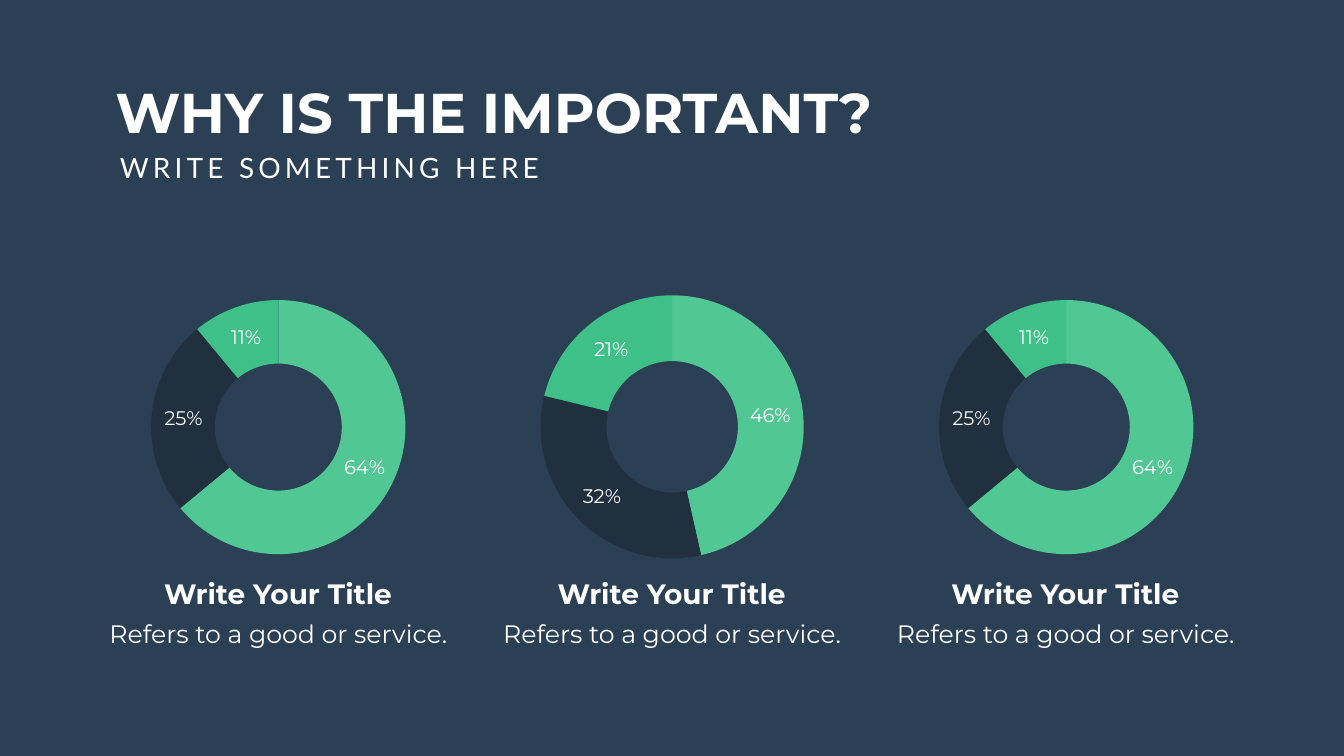
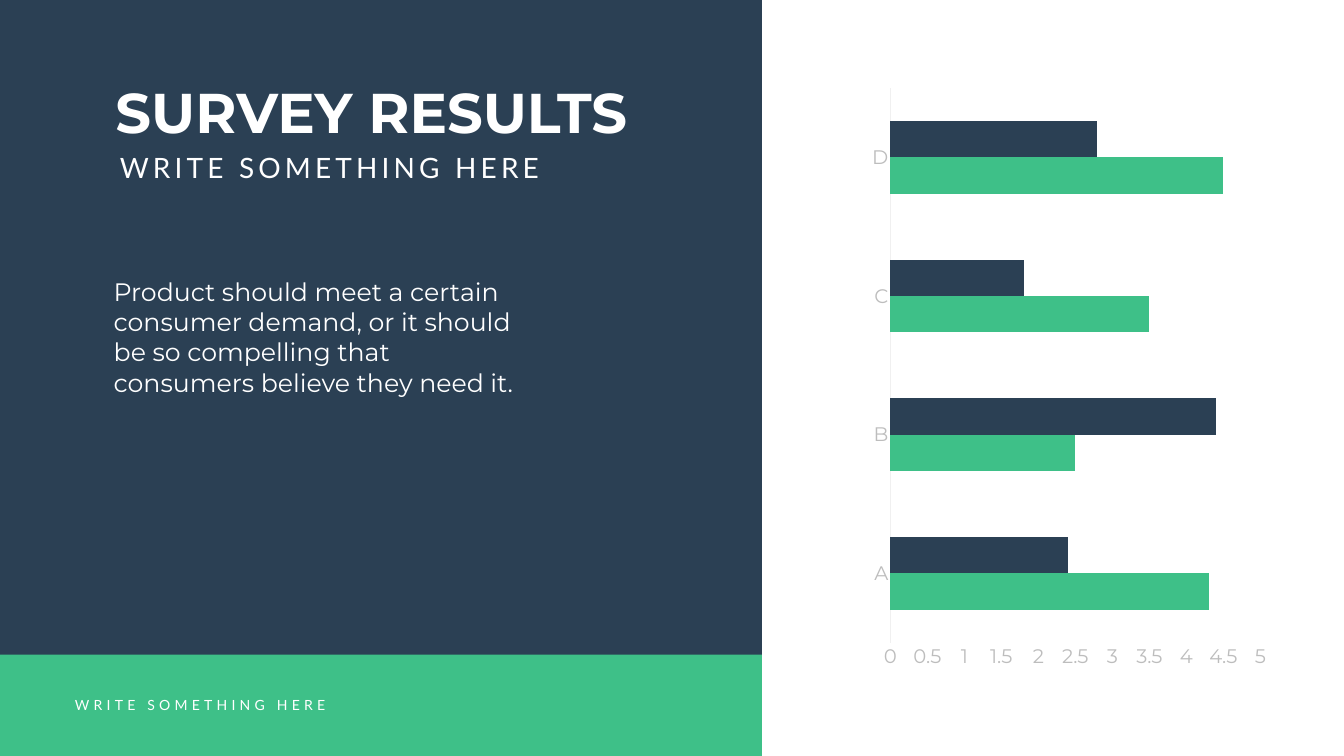
from pptx import Presentation
from pptx.chart.data import CategoryChartData
from pptx.dml.color import RGBColor
from pptx.enum.chart import XL_CHART_TYPE as ChartType, XL_TICK_MARK as TickMark
from pptx.enum.shapes import MSO_SHAPE as Shape
from pptx.enum.text import MSO_ANCHOR as Anchor, MSO_AUTO_SIZE as AutoSize, PP_ALIGN as Align
from pptx.oxml import parse_xml
from pptx.oxml.ns import nsdecls
from pptx.util import Pt

COLORS = {"navy": "2B4054", "dark": "20303F", "green": "3EC088", "light": "51C794",
          "white": "FFFFFF", "label": "BDBDBD", "muted": "999999", "axis": "F0F0F0"}
RGB = {name: RGBColor.from_string(code) for name, code in COLORS.items()}

FORMATS = {
    "title": {"name": "Montserrat", "size": Pt(80), "bold": True},
    "subtitle": {"name": "Lato", "size": Pt(40)},
    "footer": {"name": "Lato", "size": Pt(20)},
    "caption": {"name": "Montserrat", "size": Pt(40), "bold": True},
    "body": {"name": "Montserrat", "size": Pt(36)},
    "chart": {"name": "Montserrat", "size": Pt(28)},
}
SPACED = ("subtitle", "footer")
SLIDE_W, SLIDE_H = 1919.52, 1080
PANEL_W = 1088
BAND_TOP = 935
TAGLINE = "WRITE SOMETHING HERE"


def format_font(font, style, color):
    for attribute, value in FORMATS[style].items():
        setattr(font, attribute, value)
    font.color.rgb = RGB[color]


def write(box, place, words, style, align=Align.LEFT):
    box.left, box.top, box.width, box.height = (Pt(length) for length in place)
    frame = box.text_frame
    frame.word_wrap = True
    frame.auto_size = AutoSize.SHAPE_TO_FIT_TEXT
    frame.vertical_anchor = Anchor.TOP
    if style == "body":
        frame.margin_left = frame.margin_right = Pt(17)
        frame.margin_top = frame.margin_bottom = Pt(8.64)
    paragraph = frame.paragraphs[0]
    paragraph.alignment = align
    run = paragraph.add_run()
    run.text = words
    format_font(run.font, style, "white")
    if style in SPACED:
        run.font._element.set("spc", "600")


prs = Presentation()
prs.slide_width, prs.slide_height = Pt(SLIDE_W), Pt(SLIDE_H)

# Shared heading on a navy panel, with an optional green band
slides = []
for heading, heading_w, panel_w, has_band in [
    ("WHY IS THE IMPORTANT?", 1237, SLIDE_W, False),
    ("SURVEY RESULTS", 778, PANEL_W, True),
]:
    slide = prs.slides.add_slide(prs.slide_layouts[5])
    slides.append(slide)
    blocks = [(0, SLIDE_H, "navy")]
    if has_band:
        blocks.append((BAND_TOP, SLIDE_H - BAND_TOP, "green"))
    for top, height, color in blocks:
        block = slide.shapes.add_shape(Shape.RECTANGLE, 0, Pt(top), Pt(panel_w), Pt(height))
        block.shadow.inherit = False
        block.fill.solid()
        block.fill.fore_color.rgb = RGB[color]
        block.line.fill.background()
        slide.shapes.title._element.addprevious(block._element)
    write(slide.shapes.title, (157.7, 106.6, heading_w, 104), heading, "title")
    write(slide.shapes.add_textbox(0, 0, 0, 0), (164, 211.7, 676, 55), TAGLINE, "subtitle")

importance, survey = slides
charts = []

# Doughnuts with their captions
SLICE_COLORS = ("light", "dark", "green")
COLUMN_STEP = 562.3
doughnuts = [(202.3, 390, 363, (64, 25, 11)),
             (751, 418, 376, (46, 32, 21)),
             (1327.7, 390, 363, (64, 25, 11))]
for column, (left, width, diameter, shares) in enumerate(doughnuts):
    share_data = CategoryChartData()
    share_data.categories = ["1", "2", "3"]
    share_data.add_series("Series 1", shares)
    height = 396
    doughnut = importance.shapes.add_chart(
        ChartType.DOUGHNUT, Pt(left), Pt(412), Pt(width), Pt(height), share_data).chart
    ring_w, ring_h = diameter / width, diameter / height
    charts.append((doughnut, ((1 - ring_w) / 2, (1 - ring_h) / 2, ring_w, ring_h)))
    ring = doughnut.plots[0]
    for index, color in enumerate(SLICE_COLORS):
        slice_format = ring.series[0].points[index].format
        slice_format.fill.solid()
        slice_format.fill.fore_color.rgb = RGB[color]
        slice_format.line.fill.background()
    ring.has_data_labels = True
    percents = ring.data_labels
    percents.show_percentage, percents.show_value = True, False
    percents.number_format, percents.number_format_is_linked = "0%", False
    format_font(percents.font, "chart", "white")

    shift = column * COLUMN_STEP
    for place, words, style in [
        ((138.5 + shift, 875, 518, 61), "Refers to a good or service.", "body"),
        ((193 + shift, 819.4, 408, 55), "Write Your Title", "caption"),
    ]:
        write(importance.shapes.add_textbox(0, 0, 0, 0), place, words, style, Align.CENTER)

# Survey bars
answer_data = CategoryChartData()
answer_data.categories = ["A", "B", "C", "D"]
answer_data.add_series("Series 1", (4.3, 2.5, 3.5, 4.5))
answer_data.add_series("Series 2", (2.4, 4.4, 1.8, 2.8))
answers = survey.shapes.add_chart(
    ChartType.BAR_CLUSTERED, Pt(1233.4), Pt(106.6), Pt(586), Pt(866), answer_data).chart
charts.append((answers, (0.065, 0.022, 0.902, 0.915)))
bars = answers.plots[0]
bars.gap_width, bars.overlap, bars.vary_by_categories = 182, 0, False
for series, color in zip(bars.series, ("green", "navy")):
    series.format.fill.solid()
    series.format.fill.fore_color.rgb = RGB[color]
for axis in (answers.category_axis, answers.value_axis):
    axis.major_tick_mark = axis.minor_tick_mark = TickMark.NONE
    axis.has_major_gridlines = False
    format_font(axis.tick_labels.font, "chart", "label")
answers.category_axis.format.line.color.rgb = RGB["axis"]
answers.category_axis.format.line.width = Pt(0.75)
scale = answers.value_axis
scale.format.line.fill.background()
scale.minimum_scale, scale.maximum_scale, scale.major_unit = 0, 5, 0.5
scale.tick_labels.number_format = "General"
scale.tick_labels.number_format_is_linked = False

# Chart text and plot placement
for chart, place in charts:
    chart.has_legend = chart.has_title = False
    format_font(chart.font, "chart", "muted")
    plot_area = chart._chartSpace.chart.plotArea
    for old_layout in plot_area.findall("c:layout", plot_area.nsmap):
        plot_area.remove(old_layout)
    sizes = "".join(f'<c:{key} val="{value:.3f}"/>' for key, value in zip("xywh", place))
    plot_area.insert(0, parse_xml(
        f'<c:layout {nsdecls("c")}><c:manualLayout><c:layoutTarget val="inner"/>'
        f'<c:xMode val="edge"/><c:yMode val="edge"/>{sizes}</c:manualLayout></c:layout>'))

# Survey text and footer
write(survey.shapes.add_textbox(0, 0, 0, 0), (145.4, 386, 625, 192),
      "Product should meet a certain consumer demand, or it should be so compelling "
      "that consumers believe they need it.", "body")
write(survey.shapes.add_textbox(0, 0, 0, 0), (100, 992, 676, 32), TAGLINE, "footer")

prs.save("out.pptx")
